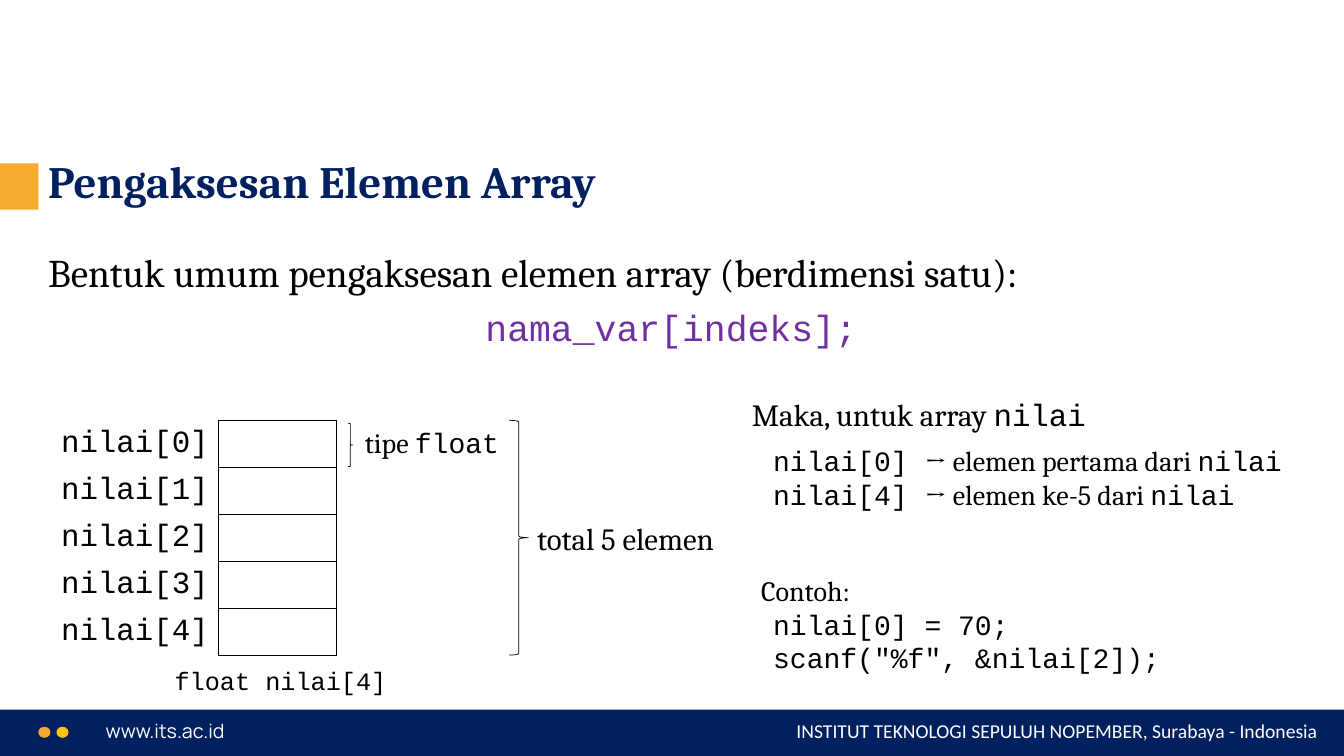
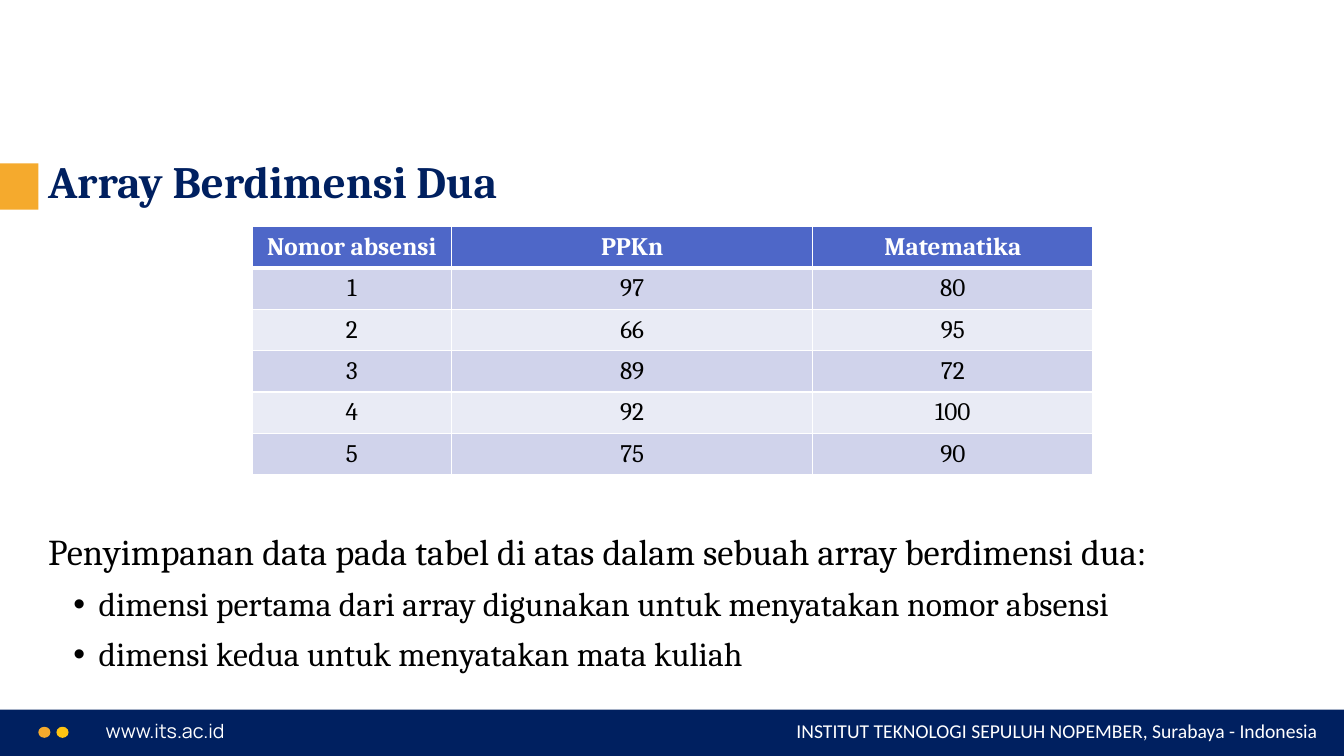
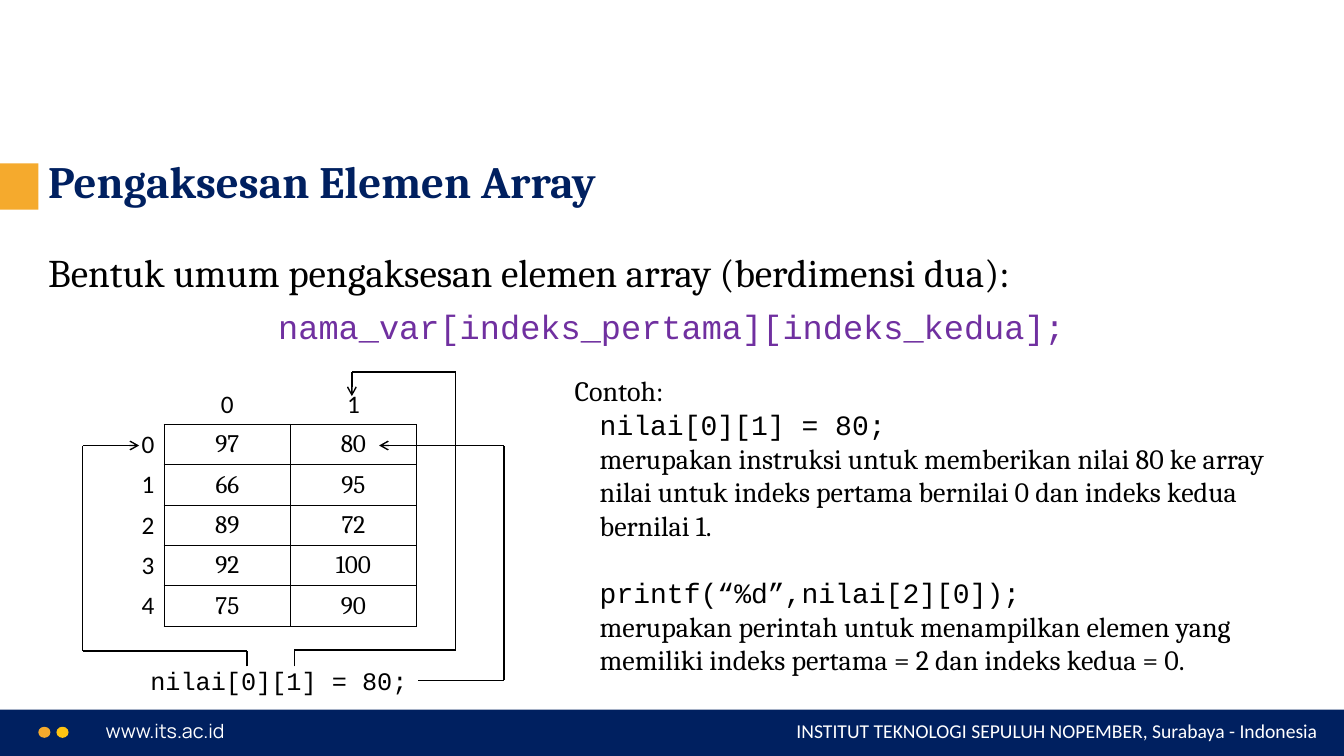
from itertools import pairwise

from lxml import etree
from pptx import Presentation
from pptx import util as u
from pptx.dml import color
from pptx.enum import shapes, text
from pptx.oxml import ns

NAVY, AMBER, YELLOW = "002060", "F5AA2D", "FFC411"
PURPLE, BLACK, WHITE = "7030A0", "000000", "FFFFFF"
SERIF, CODE, SANS, WEB = "Cambria", "Courier New", "Calibri", "Manrope"
LEFT, CENTER, RIGHT = text.PP_ALIGN.LEFT, text.PP_ALIGN.CENTER, text.PP_ALIGN.RIGHT
NO_GRID_STYLE = "{2D5ABB26-0587-4C30-8999-92F81FD0307C}"


def paint(value):
    return color.RGBColor.from_string(value)


def write(frame, lines, size, tone=BLACK, bold=False):
    for number, (spans, layout) in enumerate(lines):
        para = frame.paragraphs[0] if number == 0 else frame.add_paragraph()
        layout = dict(layout)
        margin, indent = layout.pop("indents", (0, 0))
        properties = para._p.get_or_add_pPr()
        properties.set("marL", str(u.Inches(margin)))
        properties.set("indent", str(u.Inches(indent)))
        line_size = layout.pop("size", size)
        line_tone = layout.pop("tone", tone)
        bullet = layout.pop("bullet", None)
        for name, value in layout.items():
            setattr(para, name, value)
        if bullet:
            face = etree.SubElement(properties, ns.qn("a:buFont"))
            face.set("typeface", "Arial")
            etree.SubElement(properties, ns.qn("a:buChar")).set("char", bullet)
        for content, font_name in spans:
            span = para.add_run()
            span.text = content
            style = {"name": font_name, "size": u.Pt(line_size), "bold": bold}
            for name, value in style.items():
                setattr(span.font, name, value)
            span.font.color.rgb = paint(line_tone)


deck = Presentation()
deck.slide_width, deck.slide_height = u.Inches(13.33), u.Inches(7.5)
titles = ["Pengaksesan Elemen Array", "Array Berdimensi Dua", "Pengaksesan Elemen Array"]
pages = [deck.slides.add_slide(deck.slide_layouts[6]) for title in titles]
access_page, table_page, matrix_page = pages

decorations = [
    (shapes.MSO_SHAPE.RECTANGLE, (0, 7.04, 13.33, 0.46), NAVY),
    (shapes.MSO_SHAPE.OVAL, (0.38, 7.21, 0.12, 0.11), AMBER),
    (shapes.MSO_SHAPE.OVAL, (0.56, 7.21, 0.12, 0.11), YELLOW),
    (shapes.MSO_SHAPE.RECTANGLE, (0, 1.62, 0.38, 0.46), AMBER),
]
footer = "INSTITUT TEKNOLOGI SEPULUH NOPEMBER, Surabaya - Indonesia"
tight = {"line_spacing": 0.9}
spaced = {"line_spacing": 0.9, "space_before": u.Pt(10)}
hanging = {"indents": (0.25, -0.25)}
bulleted = {**spaced, "indents": (0.5, -0.25), "bullet": "•", "size": 24}
first_line = {"indents": (0, 0.12)}
inset = {"indents": (0.12, 0)}
code_line = {"indents": (0, 0.25)}
explanation = {"indents": (0.25, 0)}

boxes = []
for page, title in zip(pages, titles):
    for kind, place, tone in decorations:
        shape = page.shapes.add_shape(kind, *map(u.Inches, place))
        shape.shadow.inherit = False
        shape.fill.solid()
        shape.fill.fore_color.rgb = paint(tone)
        shape.line.fill.background()
    boxes += [
        (page, (0.95, 7.08, 4.28, 0.34), True, 14, WHITE, [([("www.its.ac.id", WEB)], {})]),
        (page, (5.91, 7.08, 7.26, 0.34), True, 14, WHITE,
         [([(footer, SANS)], {"alignment": RIGHT})]),
        (page, (0.38, 1.4, 12.56, 0.85), True, 32, NAVY, [([(title, SERIF)], tight)]),
    ]

syntaxes = [
    (access_page, "satu", "nama_var[indeks];", 26),
    (matrix_page, "dua", "nama_var[indeks_pertama][indeks_kedua];", 24),
]
for page, dimension, syntax, size in syntaxes:
    heading = f"Bentuk umum pengaksesan elemen array (berdimensi {dimension}):"
    formula = {**spaced, **hanging, "alignment": CENTER, "size": size, "tone": PURPLE}
    boxes.append((page, (0.38, 2.47, 12.56, 1.25), True, 28, BLACK, [
        ([(heading, SERIF)], {**tight, **hanging}),
        ([(syntax, CODE)], formula),
    ]))

boxes += [
    (access_page, (1.62, 6.55, 2.31, 0.4), False, 18, BLACK,
     [([("float nilai[4]", CODE)], {"alignment": RIGHT})]),
    (access_page, (3.52, 4.17, 1.58, 0.44), False, 20, BLACK,
     [([("tipe ", SERIF), ("float", CODE)], {})]),
    (access_page, (5.23, 5.11, 2.1, 0.47), False, 22, BLACK,
     [([("total 5 elemen", SERIF)], {})]),
    (access_page, (7.36, 3.88, 3.76, 0.47), False, 22, BLACK,
     [([("Maka, untuk array ", SERIF), ("nilai", CODE)], {})]),
    (access_page, (7.45, 4.35, 5.68, 0.77), False, 20, BLACK, [
        ([("nilai[0] ", CODE), ("→ elemen pertama dari ", SERIF), ("nilai", CODE)], first_line),
        ([("nilai[4] ", CODE), ("→ elemen ke-5 dari ", SERIF), ("nilai", CODE)], first_line),
    ]),
    (access_page, (7.45, 5.64, 4.2, 1.11), False, 20, BLACK, [
        ([("Contoh:", SERIF)], {}),
        ([("nilai[0] = 70;", CODE)], inset),
        ([('scanf("%f", &nilai[2]);', CODE)], inset),
    ]),
    (table_page, (0.38, 5.25, 12.56, 1.75), True, 26, BLACK, [
        ([("Penyimpanan data pada tabel di atas dalam sebuah array berdimensi dua:", SERIF)], tight),
        ([("dimensi pertama dari array digunakan untuk menyatakan nomor absensi", SERIF)], bulleted),
        ([("dimensi kedua untuk menyatakan mata kuliah", SERIF)], bulleted),
    ]),
    (matrix_page, (1.38, 6.55, 2.76, 0.4), False, 18, BLACK,
     [([("nilai[0][1] = 80;", CODE)], {"alignment": RIGHT})]),
    (matrix_page, (5.6, 3.66, 7.34, 3.13), True, 20, BLACK, [
        ([("Contoh:", SERIF)], {}),
        ([("nilai[0][1] = 80;", CODE)], code_line),
        ([("merupakan instruksi untuk memberikan nilai 80 ke array nilai untuk indeks "
           "pertama bernilai 0 dan indeks kedua bernilai 1.", SERIF)], explanation),
        ([("printf(“%d”,nilai[2][0]);", CODE)], {**code_line, "space_before": u.Pt(24)}),
        ([("merupakan perintah untuk menampilkan elemen yang memiliki indeks pertama = 2 "
           "dan indeks kedua = 0.", SERIF)], explanation),
    ]),
]
for page, place, wrap, size, tone, lines in boxes:
    box = page.shapes.add_textbox(*map(u.Inches, place))
    frame = box.text_frame
    frame.word_wrap = wrap
    if not wrap:
        frame.auto_size = text.MSO_AUTO_SIZE.SHAPE_TO_FIT_TEXT
    is_title = tone == NAVY
    if is_title:
        frame.vertical_anchor = text.MSO_ANCHOR.MIDDLE
    write(frame, lines, size, tone, bold=is_title)

scores = [(97, 80), (66, 95), (89, 72), (92, 100), (75, 90)]
array_rows = [(f"nilai[{index}]", "") for index in range(5)]
score_rows = [("Nomor absensi", "PPKn", "Matematika")]
score_rows += [(number, *pair) for number, pair in enumerate(scores, 1)]
matrix_rows = [("", 0, 1)] + [(index, *pair) for index, pair in enumerate(scores)]
tables = [
    (access_page, 0.38, 4.17, (1.79, 1.17), 0.45, array_rows, 22, CODE, 0),
    (table_page, 2.5, 2.25, (1.98, 3.58, 2.78), 0.41, score_rows, 18, SERIF, 1),
    (matrix_page, 0.38, 3.81, (1.25, 1.25, 1.25), 0.4, matrix_rows, 18, SANS, 1),
]
for page, left, top, widths, height, rows, size, label_font, first_row in tables:
    area = map(u.Inches, (left, top, sum(widths), height * len(rows)))
    table = page.shapes.add_table(len(rows), len(widths), *area).table
    table._tbl.tblPr.find(ns.qn("a:tableStyleId")).text = NO_GRID_STYLE
    for column, width in zip(table.columns, widths):
        column.width = u.Inches(width)
    banded = page is table_page
    for y, row in enumerate(rows):
        table.rows[y].height = u.Inches(height)
        for x, content in enumerate(row):
            cell = table.cell(y, x)
            cell.vertical_anchor = text.MSO_ANCHOR.MIDDLE
            is_header = banded and y == 0
            in_grid = banded or (x > 0 and y >= first_row)
            align = RIGHT if x == 0 and not banded else CENTER
            if content != "":
                font_name = SERIF if in_grid else label_font
                lines = [([(str(content), font_name)], {"alignment": align})]
                write(cell.text_frame, lines, size, WHITE if is_header else BLACK, is_header)
            if banded:
                cell.fill.solid()
                fill = "4E67C8" if is_header else ("E9EBF5", "D0D3EB")[y % 2]
                cell.fill.fore_color.rgb = paint(fill)
            else:
                cell.fill.background()
            borders = {
                "lnL": in_grid,
                "lnR": in_grid or (x == 0 and y >= first_row),
                "lnT": in_grid,
                "lnB": in_grid or (x > 0 and y < first_row),
            }
            properties = cell._tc.get_or_add_tcPr()
            for position, (side, visible) in enumerate(borders.items()):
                border = etree.Element(ns.qn(f"a:{side}"))
                if visible:
                    thick = banded and (side, y) in (("lnB", 0), ("lnT", 1))
                    border.set("w", str(u.Pt(3 if thick else 1)))
                    solid = etree.SubElement(border, ns.qn("a:solidFill"))
                    tone = WHITE if banded else BLACK
                    etree.SubElement(solid, ns.qn("a:srgbClr")).set("val", tone)
                else:
                    etree.SubElement(border, ns.qn("a:noFill"))
                properties.insert(position, border)

for place in [(3.45, 4.2, 0.05, 0.43), (5.05, 4.17, 0.19, 2.33)]:
    brace = access_page.shapes.add_shape(shapes.MSO_SHAPE.RIGHT_BRACE, *map(u.Inches, place))
    brace.shadow.inherit = False
    brace.fill.background()
    brace.line.color.rgb = paint(BLACK)
    brace.line.width = u.Pt(0.5)

routes = [
    [(2.45, 6.61), (2.45, 6.46), (0.82, 6.46), (0.82, 4.42), (1.38, 4.42)],
    [(2.92, 6.61), (2.92, 6.45), (4.52, 6.45), (4.52, 3.69), (3.49, 3.69), (3.49, 3.93)],
    [(4.15, 6.75), (5, 6.75), (5, 4.42), (3.76, 4.42)],
]
for route in routes:
    for start, end in pairwise(route):
        line = matrix_page.shapes.add_connector(
            shapes.MSO_CONNECTOR.STRAIGHT, *map(u.Inches, start + end))
        line.line.color.rgb = paint(BLACK)
        line.line.width = u.Pt(1)
        etree.SubElement(line._element.spPr, ns.qn("a:effectLst"))
    arrowhead = etree.SubElement(line.line._get_or_add_ln(), ns.qn("a:tailEnd"))
    arrowhead.set("type", "arrow")

deck.save("out.pptx")
